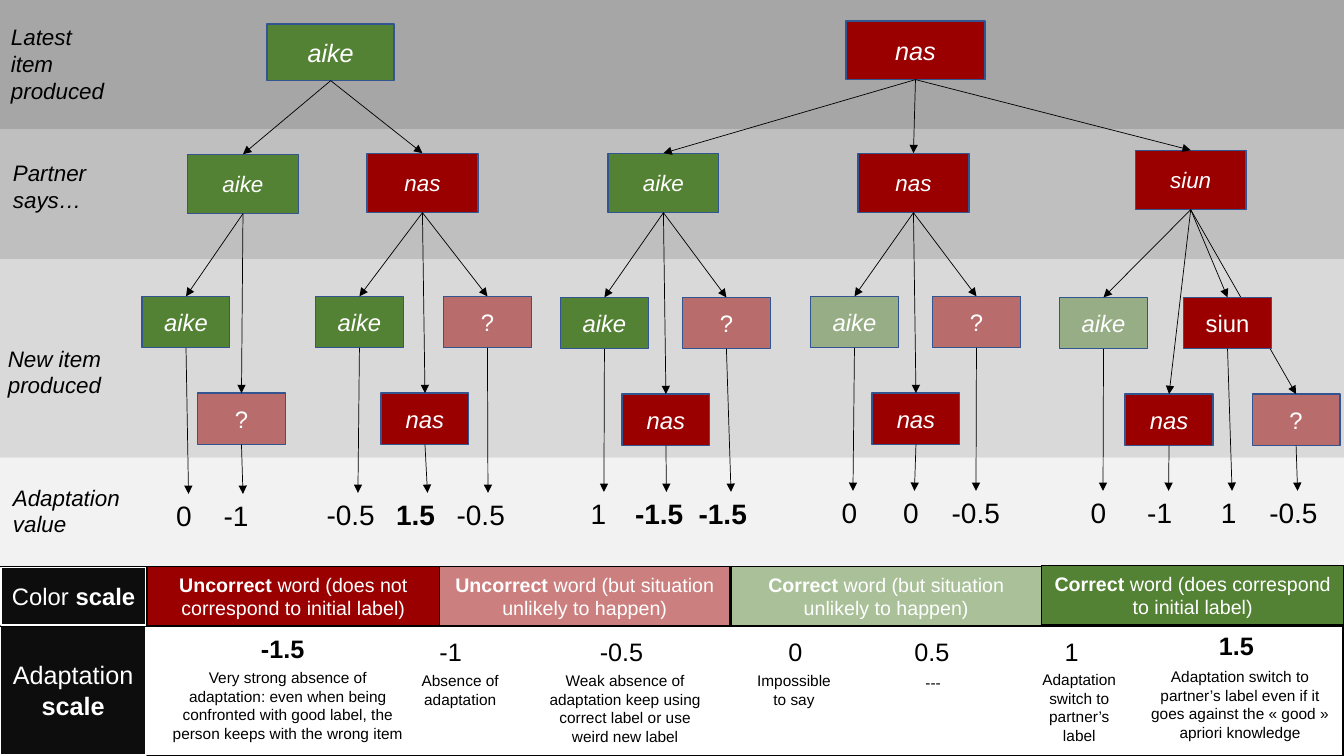
from lxml import etree
from pptx import Presentation
from pptx.dml.color import RGBColor
from pptx.enum.shapes import MSO_CONNECTOR, MSO_SHAPE
from pptx.enum.text import MSO_ANCHOR, MSO_AUTO_SIZE, PP_ALIGN
from pptx.oxml import parse_xml
from pptx.oxml.ns import nsdecls, qn
from pptx.util import Inches, Pt

COLORS = {
    "latest": "A6A6A6", "partner": "BFBFBF", "new": "D9D9D9", "value": "F2F2F2",
    "correct": "548235", "uncorrect": "9A0000", "box edge": "325491",
    "heading": "0D0D0D", "black": "000000", "white": "FFFFFF",
}
BANDS = [
    ("value", 0, 4.54, 13.33, 1.08),
    ("new", -0.06, 2.44, 13.52, 2.1),
    ("partner", -0.02, 1.17, 13.37, 1.4),
    ("latest", 0, 0, 13.33, 1.28),
]
ROW_LABELS = [
    (["Latest item produced"], 0.01, 0.18, 1.21, 0.91),
    (["Partner", "says…"], 0.03, 1.53, 1.21, 0.64),
    (["New item produced"], -0.02, 3.37, 1.21, 0.64),
    (["Adaptation value"], 0.03, 4.75, 1.35, 0.64),
]
# kind of item: word, colour, opacity in percent, italic
ITEMS = {
    "aike": ("aike", "correct", 100, True),
    "unlikely aike": ("aike", "correct", 50, True),
    "nas": ("nas", "uncorrect", 100, True),
    "siun": ("siun", "uncorrect", 100, True),
    "new siun": ("siun", "uncorrect", 100, False),
    "?": ("?", "uncorrect", 50, False),
}
PARTNER_SIZE = (1.1, 0.59)
NEW_SIZE = (0.87, 0.51)
LOWER_STEP = 0.96
VALUE_WIDTHS = {1: 0.43, 2: 0.6, 3: 0.82, 4: 0.82}
STRONG = {"1.5", "-1.5"}
# latest item, its place, partner items: (item, left, top, top of new items, top of values,
# new items: (item, left, level, arrow tip, value, left of value))
TREES = [
    ("aike", (2.65, 0.24, 1.26, 0.56), [
        ("aike", 1.86, 1.53, 2.94, 4.9, [
            ("aike", 1.41, 0, 1.87, "0", 1.65),
            ("?", 1.96, 1, 2.41, "-1", 2.12)]),
        ("nas", 3.64, 1.52, 2.94, 4.89, [
            ("aike", 3.13, 0, 3.55, "-0.5", 3.14),
            ("nas", 3.78, 1, 4.24, "1.5", 3.83),
            ("?", 4.4, 0, 4.84, "-0.5", 4.43)]),
    ]),
    ("nas", (8.39, 0.21, 1.38, 0.58), [
        ("aike", 6.03, 1.52, 2.95, 4.88, [
            ("aike", 5.56, 0, 5.99, "1", 5.76),
            ("nas", 6.17, 1, 6.61, "-1.5", 6.2),
            ("?", 6.77, 0, 7.25, "-1.5", 6.83)]),
        ("nas", 8.51, 1.52, 2.94, 4.87, [
            ("unlikely aike", 8.04, 0, 8.46, "0", 8.25),
            ("nas", 8.65, 1, 9.07, "0", 8.86),
            ("?", 9.25, 0, 9.68, "-0.5", 9.34)]),
        ("siun", 11.26, 1.49, 2.95, 4.87, [
            ("unlikely aike", 10.51, 0, 10.94, "0", 10.72),
            ("nas", 11.16, 1, 11.59, "-1", 11.28),
            ("?", 12.42, 1, 12.87, "-0.5", 12.49),
            ("new siun", 11.74, 0, 12.22, "1", 12.01)]),
    ]),
]
# value, left, top, explanation, place of the explanation
SCALE = [
    ("-1.5", 2.49, 6.23, "Very strong absence of adaptation: even when being confronted with "
     "good label, the person keeps with the wrong item", (1.6, 6.58, 2.51, 0.84)),
    ("-1", 4.26, 6.26, "Absence of adaptation", (4.06, 6.61, 1.01, 0.47)),
    ("-0.5", 5.85, 6.26, "Weak absence of adaptation keep using correct label or use "
     "weird new label", (5.29, 6.61, 1.82, 0.84)),
    ("0", 7.72, 6.26, "Impossible to say", (7.34, 6.61, 1.07, 0.47)),
    ("0.5", 8.97, 6.26, "---", (8.72, 6.63, 1.07, 0.29)),
    ("1", 10.46, 6.26, "Adaptation switch to partner’s label", (10.17, 6.6, 1.07, 0.84)),
    ("1.5", 11.99, 6.2, "Adaptation switch to partner’s label even if it goes against the "
     "« good » apriori knowledge", (11.28, 6.57, 2.04, 0.84)),
]
LEGEND = [
    ("Uncorrect ", "word (does not correspond to initial label)", "uncorrect", 100,
     (1.46, 5.62, 2.9, 0.59)),
    ("Uncorrect ", "word (but situation unlikely to happen)", "uncorrect", 50,
     (4.36, 5.62, 2.88, 0.59)),
    ("Correct ", "word (but situation unlikely to happen)", "correct", 50,
     (7.25, 5.62, 3.08, 0.59)),
    ("Correct ", "word (does correspond to initial label)", "correct", 100,
     (10.33, 5.61, 3, 0.59)),
]


def rgb(color):
    return RGBColor.from_string(COLORS[color])


def set_all(target, formats):
    for attribute, setting in formats.items():
        setattr(target, attribute, setting)


def write(frame, paragraphs, size, color, align=None, italic=False):
    """Fill a text frame; each paragraph is a list of (text, bold) runs."""
    for index, runs in enumerate(paragraphs):
        paragraph = frame.add_paragraph() if index else frame.paragraphs[0]
        paragraph.alignment = align
        for words, bold in runs:
            run = paragraph.add_run()
            run.text = words
            set_all(run.font, {"name": "Arial", "size": Pt(size), "bold": bold, "italic": italic})
            run.font.color.rgb = rgb(color)


def add_block(slide, place, fill=None, edge=None, opacity=100):
    block = slide.shapes.add_shape(MSO_SHAPE.RECTANGLE, *map(Inches, place))
    block.shadow.inherit = False
    if fill:
        block.fill.solid()
        block.fill.fore_color.rgb = rgb(fill)
        if opacity < 100:
            tint = block.fill._xPr.find(qn("a:solidFill"))[0]
            etree.SubElement(tint, qn("a:alpha"), val=str(opacity * 1000))
    else:
        block.fill.background()
    if edge:
        block.line.color.rgb = rgb(edge)
        block.line.width = Pt(1)
    else:
        block.line.fill.background()
    return block


def add_worded_block(slide, place, runs, size, fill, edge, opacity=100, italic=False):
    block = add_block(slide, place, fill, edge, opacity)
    set_all(block.text_frame, {"word_wrap": True, "vertical_anchor": MSO_ANCHOR.MIDDLE})
    write(block.text_frame, [runs], size, "white", PP_ALIGN.CENTER, italic)
    return block


def add_item(slide, item, place, size):
    word, color, opacity, italic = ITEMS[item]
    return add_worded_block(slide, place, [(word, False)], size, color, "box edge",
                            opacity, italic)


def add_label(slide, place, lines, size, bold=False, align=None, italic=False):
    label = slide.shapes.add_textbox(*map(Inches, place))
    set_all(label.text_frame, {"word_wrap": True, "auto_size": MSO_AUTO_SIZE.SHAPE_TO_FIT_TEXT})
    write(label.text_frame, [[(line, bold)] for line in lines], size, "black", align, italic)


def add_arrow(slide, source, target=None, tip=(0, 0)):
    """Arrow from under the source to the top of the target, or to a free tip."""
    start = source.left + source.width // 2, source.top + source.height
    arrow = slide.shapes.add_connector(MSO_CONNECTOR.STRAIGHT, *start, *map(Inches, tip))
    arrow.begin_connect(source, 2)
    if target is not None:
        arrow.end_connect(target, 0)
    arrow.line.color.rgb = rgb("black")
    arrow.line.width = Pt(0.5)
    arrow.line._get_or_add_ln().append(parse_xml(f'<a:tailEnd {nsdecls("a")} type="triangle"/>'))
    etree.SubElement(arrow._element.spPr, qn("a:effectLst"))


def add_tree(slide, latest_item, place, partners):
    latest = add_item(slide, latest_item, place, 18)
    for partner_item, left, top, new_top, value_top, new_items in partners:
        partner = add_item(slide, partner_item, (left, top, *PARTNER_SIZE), 16)
        add_arrow(slide, latest, partner)
        for item, new_left, level, tip, value, value_left in new_items:
            new_place = (new_left, new_top + level * LOWER_STEP, *NEW_SIZE)
            new = add_item(slide, item, new_place, 17)
            add_arrow(slide, partner, new)
            add_arrow(slide, new, tip=(tip, value_top))
            add_label(slide, (value_left, value_top, VALUE_WIDTHS[len(value)], 0.44),
                      [value], 20, value in STRONG)


def add_scales(slide):
    add_block(slide, (0, 6.21, 13.32, 1.29), edge="black")
    for value, left, top, meaning, place in SCALE:
        add_label(slide, (left, top, 1.01, 0.4), [value], 18, value in STRONG)
        add_label(slide, place, [meaning], 11, align=PP_ALIGN.CENTER)
    add_worded_block(slide, (0, 6.2, 1.45, 1.29), [("Adaptation ", False), ("scale", True)],
                     18, "heading", "white")
    add_block(slide, (0, 5.62, 13.32, 0.59), edge="black")
    add_worded_block(slide, (0.01, 5.63, 1.44, 0.57), [("Color ", False), ("scale", True)],
                     17, "heading", "white")
    for grade, meaning, color, opacity, place in LEGEND:
        add_worded_block(slide, place, [(grade, True), (meaning, False)], 14, color,
                         "black", opacity)


def main():
    deck = Presentation()
    set_all(deck, {"slide_width": Inches(13.33), "slide_height": Inches(7.5)})
    slide = deck.slides.add_slide(deck.slide_layouts[6])
    for color, *place in BANDS:
        add_block(slide, place, color)
    for tree in TREES:
        add_tree(slide, *tree)
    for lines, *place in ROW_LABELS:
        add_label(slide, place, lines, 16, italic=True)
    add_scales(slide)
    deck.save("out.pptx")


if __name__ == "__main__":
    main()
